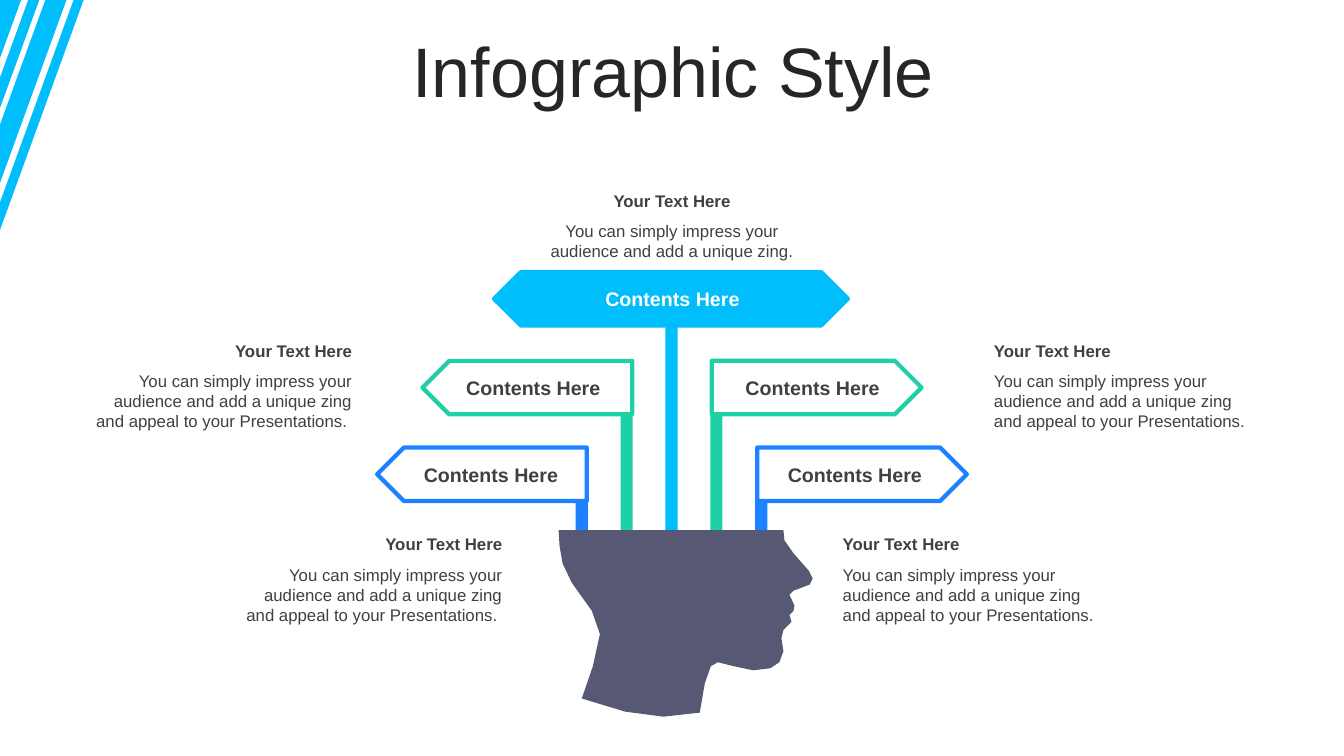
import pptx
import pptx.util
import pptx.dml.color
import pptx.enum.shapes
import pptx.enum.text

Inches = pptx.util.Inches
KINDS = pptx.enum.shapes.MSO_SHAPE
ALIGN = pptx.enum.text.PP_ALIGN
WIDE = 13.33
SKY, TEAL, BLUE = "00BDFB", "1ED0A6", "1C82FF"
SLATE, GREY, WHITE = "565874", "404040", "FFFFFF"

# Start and end of each stripe along the top edge, and their slope
BANDS = [(0, 0.21), (0.28, 0.39), (0.45, 0.66), (0.73, 0.83)]
SLOPE = 2.75

# Head, clockwise from the back of the crown
HEAD = [
    (5.54, 5.26), (7.77, 5.26), (7.78, 5.36), (7.87, 5.49), (8.02, 5.66),
    (8.06, 5.74), (8.03, 5.8), (7.87, 5.86), (7.83, 5.9), (7.88, 6.01),
    (7.87, 6.06), (7.83, 6.1), (7.85, 6.17), (7.77, 6.25), (7.75, 6.33),
    (7.77, 6.46), (7.73, 6.57), (7.64, 6.63), (7.47, 6.65), (7.28, 6.61),
    (7.12, 6.57), (7.05, 6.61), (6.99, 6.78), (6.94, 7.07), (6.58, 7.11),
    (6.2, 7.06), (5.77, 6.93), (5.88, 6.61), (5.95, 6.29), (5.87, 6.06),
    (5.67, 5.78), (5.58, 5.59), (5.55, 5.42),
]


def tint(code):
    return pptx.dml.color.RGBColor.from_string(code)


class Page:
    def __init__(self, slide, face="Arial"):
        self.shapes = slide.shapes
        self.face = face

    def paint(self, shape, fill, line=None):
        shape.shadow.inherit = False
        shape.fill.solid()
        shape.fill.fore_color.rgb = tint(fill)
        if line:
            shape.line.color.rgb = tint(line)
            shape.line.width = pptx.util.Pt(3)
        else:
            shape.line.fill.background()
        return shape

    def block(self, kind, box, fill, line=None):
        shape = self.shapes.add_shape(kind, *map(Inches, box))
        return self.paint(shape, fill, line)

    def outline(self, loops, fill):
        loops = [[(Inches(x), Inches(y)) for x, y in loop] for loop in loops]
        pen = self.shapes.build_freeform(*loops[0][0])
        for loop in loops:
            if loop is not loops[0]:
                pen.move_to(*loop[0])
            pen.add_line_segments(loop[1:], close=True)
        return self.paint(pen.convert_to_shape(), fill)

    def text(self, words, box, align, color=GREY, size=12, bold=False):
        frame = self.shapes.add_textbox(*map(Inches, box)).text_frame
        frame.word_wrap = True
        para = frame.paragraphs[0]
        para.alignment = align
        run = para.add_run()
        run.text = words
        style = {"name": self.face, "size": pptx.util.Pt(size), "bold": bold}
        for key, value in style.items():
            setattr(run.font, key, value)
        run.font.color.rgb = tint(color)
        return frame

    def note(self, words, x, y, high, align):
        self.text(words, (x, y + 0.3, 2.79, high), align)
        self.text("Your Text Here", (x, y, 2.79, 0.3), align, bold=True)

    def label(self, x, y, color=GREY):
        self.text("Contents Here", (x, y, 1.74, 0.34), ALIGN.CENTER,
                  color, 14, True)


def main():
    deck = pptx.Presentation()
    deck.slide_width, deck.slide_height = Inches(WIDE), Inches(7.5)
    page = Page(deck.slides.add_slide(deck.slide_layouts[6]))

    # Corner stripes and title
    page.outline([[(a, 0), (b, 0), (0, SLOPE * b), (0, SLOPE * a)]
                  for a, b in BANDS], SKY)
    title = page.text("Infographic Style", (0.35, 0.37, 12.66, 0.79),
                      ALIGN.CENTER, "262626", 50)
    title.vertical_anchor = pptx.enum.text.MSO_ANCHOR.MIDDLE
    title.paragraphs[0].line_spacing = 0.8

    # Posts, evenly spaced, rising out of the head
    posts = [(BLUE, 4.44), (TEAL, 3.57), (SKY, 3.22), (TEAL, 3.57),
             (BLUE, 4.44)]
    for i, (color, top) in enumerate(posts):
        left = 5.71 + 0.445 * i
        page.block(KINDS.RECTANGLE, (left, top, 0.12, 5.46 - top), color)
    page.outline([HEAD], SLATE)

    # Side signs, mirrored about the middle
    wide, high = 2.08, 0.53
    for color, x, y, spots in [(BLUE, 7.51, 4.44, (4, 7.61)),
                               (TEAL, 7.06, 3.58, (4.42, 7.19))]:
        page.block(KINDS.PENTAGON, (x, y, wide, high), WHITE, color)
        twin = page.block(KINDS.PENTAGON, (WIDE - x - wide, y, wide, high),
                          WHITE, color)
        twin.rotation = 180
        for spot in spots:
            page.label(spot, y + 0.1)

    # Top sign
    sign = page.block(KINDS.HEXAGON, (4.9, 2.7, 3.51, high), SKY, SKY)
    sign.adjustments[0] = 0.5
    sign.adjustments[1] = 1.1547
    page.label(5.8, 2.8, WHITE)

    # Notes
    short = "You can simply impress your audience and add a unique zing"
    full = short + " and appeal to your Presentations."
    page.note(short + ".", 5.27, 1.84, 0.5, ALIGN.CENTER)
    for left, right, y in [(2.29, 8.26, 5.25), (0.8, 9.76, 3.33)]:
        page.note(full + " ", left, y, 0.71, ALIGN.RIGHT)
        page.note(full, right, y, 0.71, ALIGN.LEFT)

    deck.save("out.pptx")


if __name__ == "__main__":
    main()
